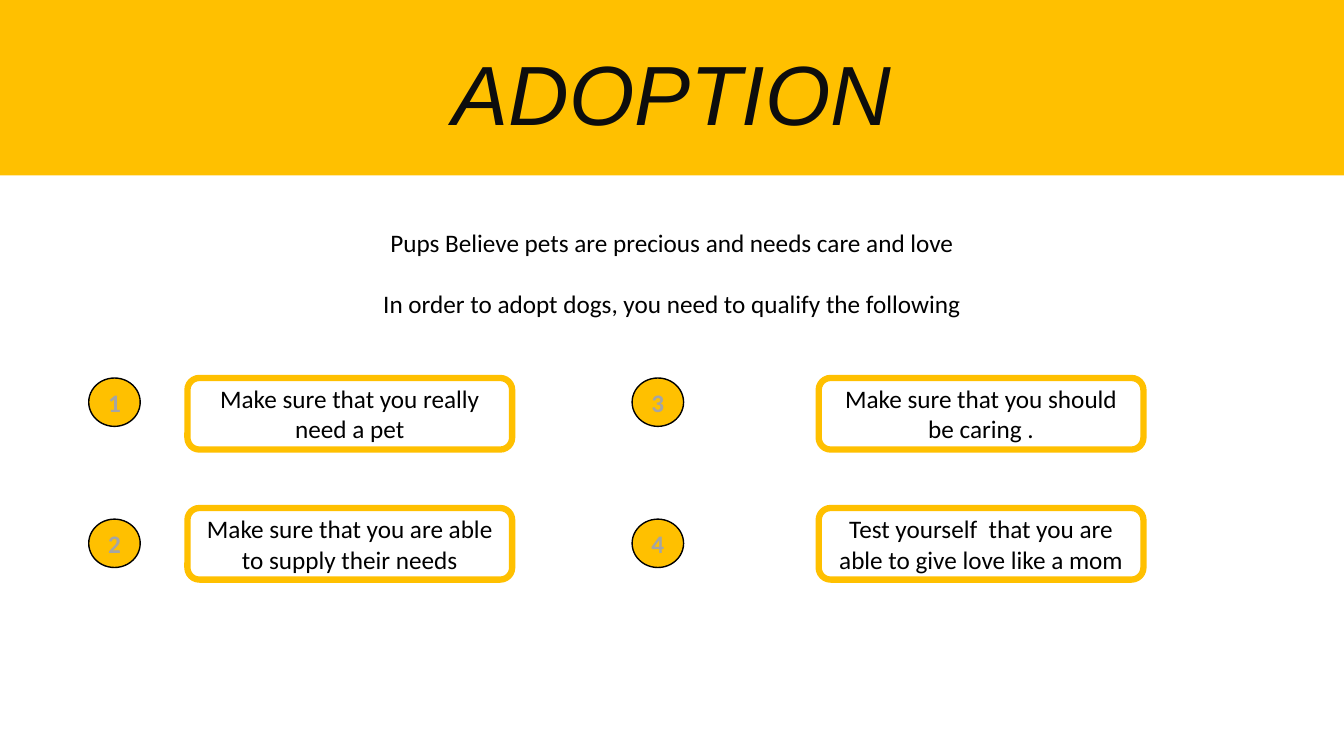
from dataclasses import dataclass

from pptx import Presentation
from pptx.dml.color import RGBColor
from pptx.enum.shapes import MSO_SHAPE as Shape
from pptx.enum.text import MSO_ANCHOR as Anchor, PP_ALIGN as Align
from pptx.slide import Slide
from pptx.util import Inches, Pt

WIDTH, HEIGHT = Inches(13.33), Inches(7.5)
COLUMN, ROW = WIDTH / 100, HEIGHT / 100
COLORS = {"amber": "FFC000", "white": "FFFFFF", "black": "000000",
          "ink": "0D0D0D", "gray": "A5A5A5"}

INTRO = ("Pups Believe pets are precious and needs care and love",
         "In order to adopt dogs, you need to qualify the following")
RULES = ("Make sure that you really need a pet",
         "Make sure that you are able to supply their needs",
         "Make sure that you should be caring .",
         "Test yourself  that you are able to give love like a mom")
RULES_PER_COLUMN = 2
BADGE_COLUMNS, BADGE_ROWS = (6.6, 47.03), (50, 68.67)
RULE_COLUMNS, RULE_ROWS = (13.95, 60.92), (50, 67.2)


@dataclass(frozen=True)
class Style:
    """Look of a block and its text."""
    kind: Shape
    fill: str
    ink: str
    line: str = ""
    line_width: float = 0
    font: str = "Calibri"
    size: int = 18
    bold: bool = False
    italic: bool = False
    anchor: Anchor = Anchor.MIDDLE
    top_inset: float = 0.67
    gap: int = 0


@dataclass(frozen=True)
class Block:
    """Text block placed on a grid of 100 columns by 100 rows."""
    style: Style
    column: float
    row: float
    columns: float
    rows: float
    lines: tuple[str, ...]


BANNER = Style(Shape.RECTANGLE, "amber", "ink", font="Arial", size=60, italic=True)
PANEL = Style(Shape.RECTANGLE, "white", "black", anchor=Anchor.TOP, top_inset=6.87, gap=22)
BADGE = Style(Shape.FLOWCHART_CONNECTOR, "amber", "gray", "black", 1, bold=True)
RULE = Style(Shape.ROUNDED_RECTANGLE, "white", "black", "amber", 4.5)


def color(name: str) -> RGBColor:
    """Return a named palette colour."""
    return RGBColor.from_string(COLORS[name])


def draw(slide: Slide, block: Block) -> None:
    """Draw one block with its centred lines of text."""
    style = block.style
    shape = slide.shapes.add_shape(
        style.kind, round(block.column * COLUMN), round(block.row * ROW),
        round(block.columns * COLUMN), round(block.rows * ROW))
    shape.shadow.inherit = False
    shape.fill.solid()
    shape.fill.fore_color.rgb = color(style.fill)
    if style.line:
        shape.line.color.rgb = color(style.line)
        shape.line.width = Pt(style.line_width)
    else:
        shape.line.fill.background()

    frame = shape.text_frame
    frame.word_wrap = True
    frame.vertical_anchor = style.anchor
    frame.margin_top = round(style.top_inset * ROW)
    for index, line in enumerate(block.lines):
        paragraph = frame.add_paragraph() if index else frame.paragraphs[0]
        paragraph.alignment = Align.CENTER
        paragraph.space_after = Pt(style.gap)
        run = paragraph.add_run()
        run.text = line
        run.font.name = style.font
        run.font.size = Pt(style.size)
        run.font.bold = style.bold
        run.font.italic = style.italic
        run.font.color.rgb = color(style.ink)


def main() -> None:
    """Build and save the adoption slide."""
    deck = Presentation()
    deck.slide_width, deck.slide_height = WIDTH, HEIGHT
    slide = deck.slides.add_slide(deck.slide_layouts[6])

    draw(slide, Block(BANNER, 0, -0.53, 100, 25.33, ("ADOPTION",)))
    draw(slide, Block(PANEL, 0, 23.2, 100, 77.73, INTRO))
    for index, rule in enumerate(RULES):
        side, level = divmod(index, RULES_PER_COLUMN)
        draw(slide, Block(BADGE, BADGE_COLUMNS[side], BADGE_ROWS[level],
                          3.83, 6.4, (str(index + 1),)))
        draw(slide, Block(RULE, RULE_COLUMNS[side], RULE_ROWS[level],
                          24.16, 9.47, (rule,)))
    deck.save("out.pptx")


if __name__ == "__main__":
    main()
